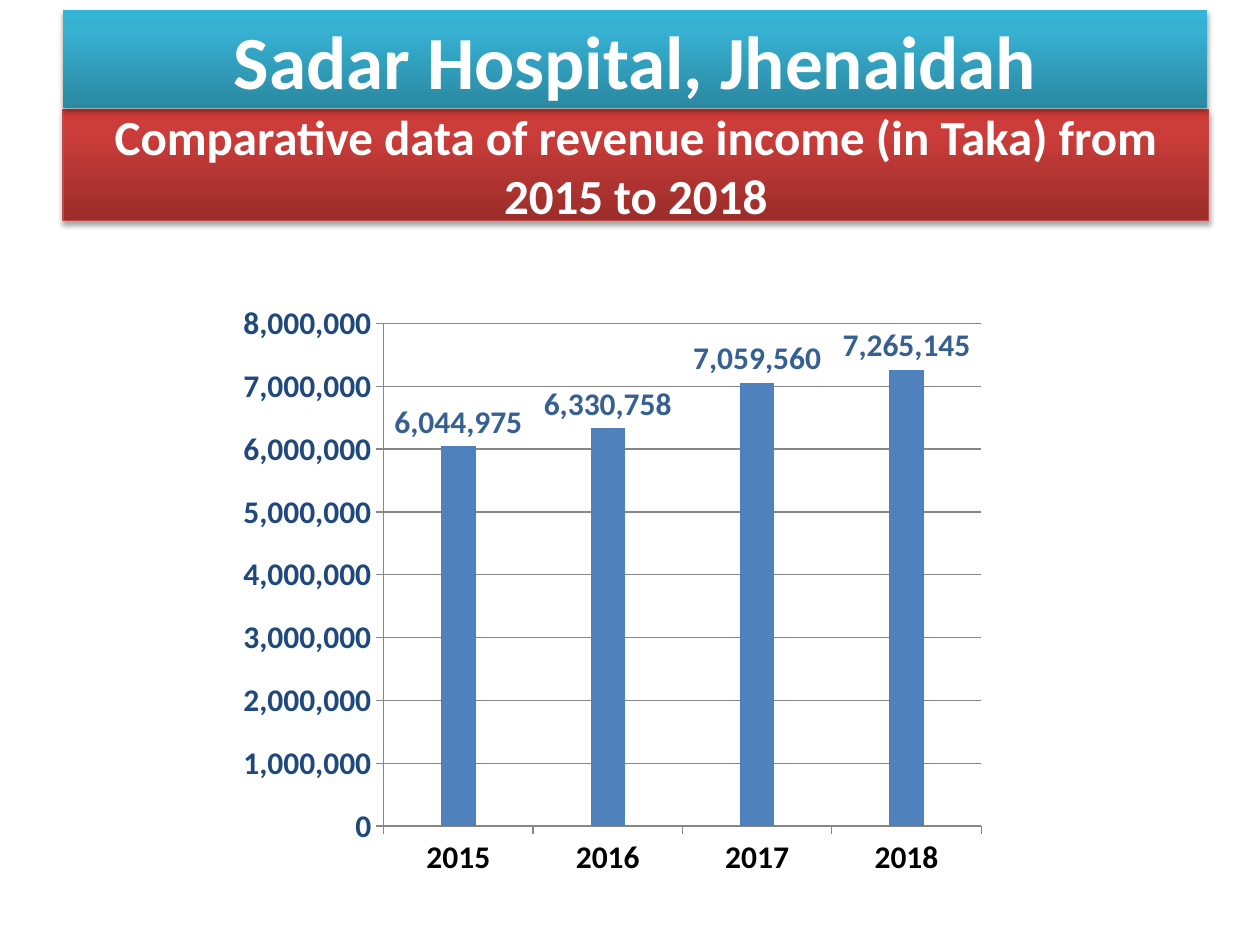
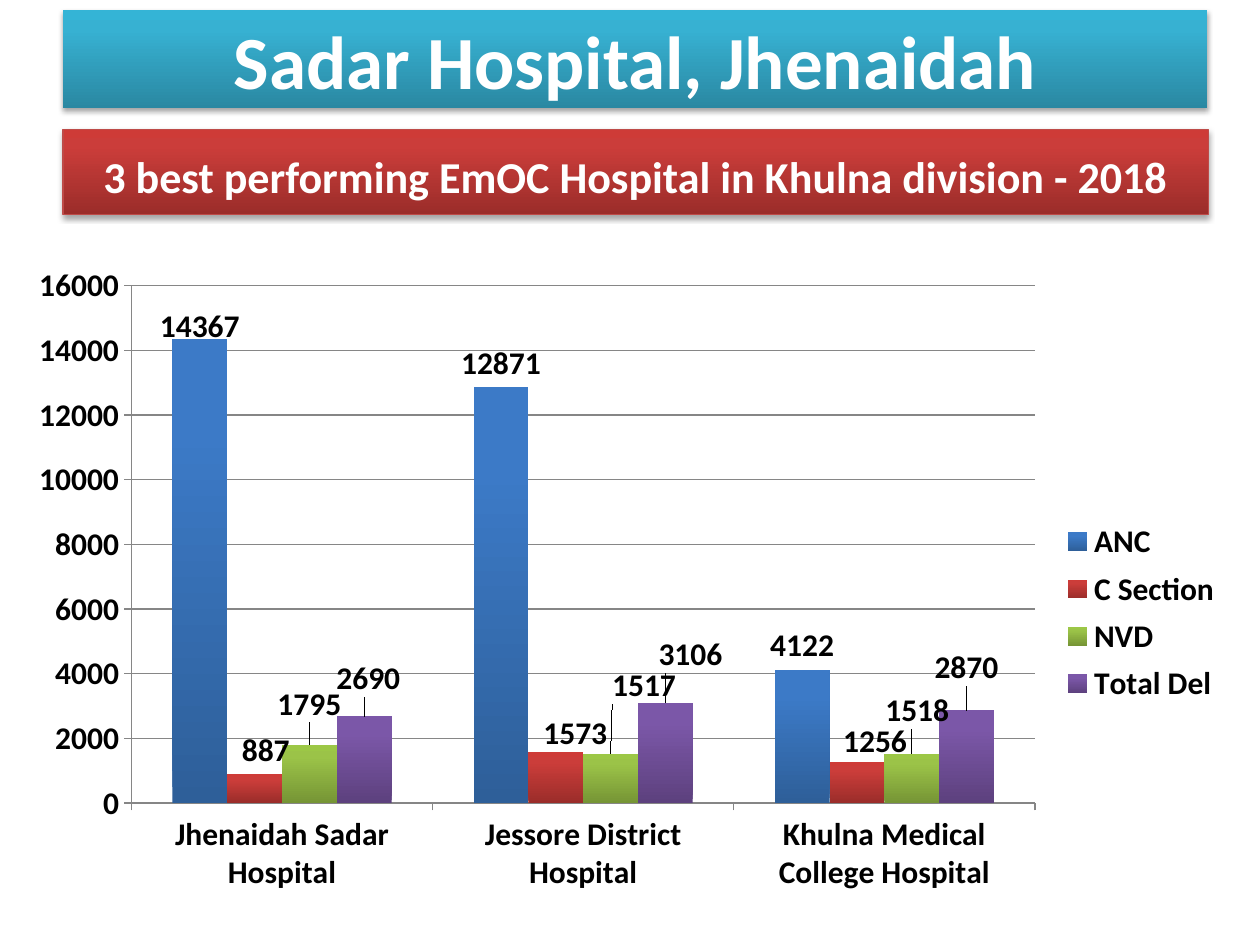
import pptx
import pptx.util
import pptx.oxml
import pptx.chart.data
import pptx.dml.color
import pptx.enum.chart
import pptx.enum.shapes
import pptx.enum.text
from lxml import etree
from pptx.oxml.ns import qn

Inches, Pt = pptx.util.Inches, pptx.util.Pt

FONT = "Calibri"
HOSPITAL = "Sadar Hospital, Jhenaidah"
WHITE, BLACK = "FFFFFF", "000000"
NAVY, LABEL_BLUE, BAR_BLUE = "1F497D", "376092", "4F81BD"
GRID_GREY, RED_EDGE = "868686", "BE4B48"

# Gradient colours from bottom to top, at 0, 80 and 100 percent
STOPS = (0, 80, 100)
AQUA = ("2A88A2", "37B1D2", "34B4D6")
BLUE = ("2E5F99", "3C7AC7", "397BC9")
RED = ("9B2D2A", "CB3D3A", "CE3B37")
GREEN = ("769535", "9BC348", "9CC746")
PURPLE = ("5D417E", "7B57A8", "7B58A6")


def rgb(color):
    return pptx.dml.color.RGBColor.from_string(color)


def set_font(font, size=18, color=BLACK, bold=True):
    font.name = FONT
    font.size = Pt(size)
    font.bold = bold
    font.color.rgb = rgb(color)


def write_text(shape, text, line_spacing=None, space_after=None, **font_format):
    """Put one centred paragraph in the shape."""
    frame = shape.text_frame
    frame.word_wrap = True
    frame.auto_size = pptx.enum.text.MSO_AUTO_SIZE.NONE
    frame.vertical_anchor = pptx.enum.text.MSO_ANCHOR.MIDDLE
    paragraph = frame.paragraphs[0]
    paragraph.alignment = pptx.enum.text.PP_ALIGN.CENTER
    paragraph.line_spacing = line_spacing
    paragraph.space_after = space_after
    run = paragraph.add_run()
    run.text = text
    set_font(run.font, **font_format)


def fill_gradient(fill, properties, colors):
    """Fill upward through the three colours; properties is the spPr element."""
    fill.gradient()
    fill.gradient_angle = 90
    stop_list = properties.find(qn("a:gradFill")).find(qn("a:gsLst"))
    for stop in list(stop_list):
        stop_list.remove(stop)
    for percent, color in zip(STOPS, colors):
        stop = etree.SubElement(stop_list, qn("a:gs"), pos=str(percent * 1000))
        etree.SubElement(stop, qn("a:srgbClr"), val=color)


def add_soft_shadow(shape):
    shape.shadow.inherit = False
    effects = shape._element.spPr.find(qn("a:effectLst"))
    shadow = etree.SubElement(effects, qn("a:outerShdw"), blurRad=str(Pt(3.1)),
                              dist=str(Pt(1.8)), dir="5400000", rotWithShape="0")
    color = etree.SubElement(shadow, qn("a:srgbClr"), val=BLACK)
    etree.SubElement(color, qn("a:alpha"), val="35000")


def style_band(band, colors):
    fill_gradient(band.fill, band._element.spPr, colors)
    add_soft_shadow(band)


def add_title_band(slide, text, top, height, **text_format):
    title = slide.shapes.title
    title.left, title.top = Inches(0.5), Inches(top)
    title.width, title.height = Inches(9.09), Inches(height)
    title.line.color.rgb = rgb(RED_EDGE)
    title.line.width = Pt(0.75)
    style_band(title, RED)
    write_text(title, text, color=WHITE, **text_format)


def add_hospital_band(slide):
    band = slide.shapes.add_shape(pptx.enum.shapes.MSO_SHAPE.RECTANGLE, Inches(0.5),
                                  Inches(0.08), Inches(9.08), Inches(0.78))
    band.line.fill.background()
    style_band(band, AQUA)
    write_text(band, HOSPITAL, size=42.9, color=WHITE)


def set_layout(parent, after, inner=False, **fractions):
    """Place a chart part by hand, behind the child tag named in after."""
    for old in parent.findall(qn("c:layout")):
        parent.remove(old)
    layout = parent.makeelement(qn("c:layout"))
    manual = etree.SubElement(layout, qn("c:manualLayout"))
    if inner:
        etree.SubElement(manual, qn("c:layoutTarget"), val="inner")
    if "w" in fractions:
        for mode in ("xMode", "yMode"):
            etree.SubElement(manual, qn("c:" + mode), val="edge")
    for name, value in fractions.items():
        etree.SubElement(manual, qn("c:" + name), val=f"{value:.3f}")
    if after:
        parent.find(qn(after)).addnext(layout)
    else:
        parent.insert(0, layout)


def style_axes(chart, maximum, step, number_format, value_color):
    values, categories = chart.value_axis, chart.category_axis
    values.minimum_scale, values.maximum_scale = 0, maximum
    values.major_unit = step
    values.has_major_gridlines = True
    values.tick_labels.number_format = number_format
    values.tick_labels.number_format_is_linked = False
    set_font(values.tick_labels.font, color=value_color)
    set_font(categories.tick_labels.font)
    for axis in (values, categories):
        axis.major_tick_mark = pptx.enum.chart.XL_TICK_MARK.OUTSIDE
    for line in (values.format.line, categories.format.line,
                 values.major_gridlines.format.line):
        line.color.rgb = rgb(GRID_GREY)
        line.width = Pt(0.75)


def add_column_chart(slide, box, categories, series, gap, plot, label_color=BLACK,
                     number_format="General", **axis_format):
    data = pptx.chart.data.CategoryChartData(number_format=number_format)
    data.categories = categories
    for name, values in series.items():
        data.add_series(name, values)
    chart = slide.shapes.add_chart(pptx.enum.chart.XL_CHART_TYPE.COLUMN_CLUSTERED,
                                   *map(Inches, box), data).chart
    chart.has_title = False
    chart.has_legend = False
    set_font(chart.font, bold=False)
    style_axes(chart, number_format=number_format, **axis_format)
    columns = chart.plots[0]
    columns.gap_width = gap
    columns.overlap = 0
    columns.vary_by_categories = False
    for bars in columns.series:
        bars.invert_if_negative = False
        labels = bars.data_labels
        labels.show_value = True
        labels.position = pptx.enum.chart.XL_LABEL_POSITION.OUTSIDE_END
        labels.number_format = number_format
        labels.number_format_is_linked = False
        set_font(labels.font, color=label_color)
    plot_area = chart._chartSpace.find(".//" + qn("c:plotArea"))
    set_layout(plot_area, None, inner=True, **dict(zip("xywh", plot)))
    return chart


def move_labels(series, shifts):
    """Shift labels by percent of chart width and height, keyed by point."""
    for index, (right, down) in shifts.items():
        label = series.points[index].data_label
        set_font(label.font)
        label.position = pptx.enum.chart.XL_LABEL_POSITION.OUTSIDE_END
        element = series.data_labels._element.xpath(
            f'c:dLbl[c:idx/@val="{index}"]')[0]
        set_layout(element, "c:idx", x=right / 100, y=down / 100)


def add_right_legend(chart, **fractions):
    chart.has_legend = True
    chart.legend.position = pptx.enum.chart.XL_LEGEND_POSITION.RIGHT
    chart.legend.include_in_layout = False
    set_font(chart.legend.font)
    set_layout(chart._chartSpace.find(".//" + qn("c:legend")), "c:legendPos",
               **fractions)


def add_revenue_slide(slide):
    add_title_band(slide, "Comparative data of revenue income (in Taka) from 2015 to 2018",
                   top=0.87, height=0.88, size=28)
    revenue = add_column_chart(
        slide, (1.83, 2.33, 6.08, 4.75), ["2015", "2016", "2017", "2018"],
        {"Series 1": (6044975, 6330758, 7059560, 7265145)},
        gap=335, plot=(0.2, 0.05, 0.78, 0.84), label_color=LABEL_BLUE,
        number_format="#,##0", maximum=8000000, step=1000000, value_color=NAVY)
    bars = revenue.plots[0].series[0].format.fill
    bars.solid()
    bars.fore_color.rgb = rgb(BAR_BLUE)
    add_hospital_band(slide)


def add_performance_slide(slide):
    add_title_band(slide, "3 best performing EmOC Hospital in Khulna division - 2018",
                   top=1.03, height=0.67, size=25.2, line_spacing=1.15,
                   space_after=Pt(10))
    services = {
        "ANC": (14367, 12871, 4122),
        "C Section": (887, 1573, 1256),
        "NVD": (1795, 1517, 1518),
        "Total Del": (2690, 3106, 2870),
    }
    label_shifts = (
        {0: (0, 1.7)},
        {0: (0.8, 0), 1: (1.4, 0.8), 2: (1.3, 0.5)},
        {0: (0, -2.6), 1: (2.4, -6.7), 2: (0.4, -3)},
        {0: (0.3, -2.1), 1: (1.8, -3.6), 2: (0, -2.9)},
    )
    performance = add_column_chart(
        slide, (-0.1, 2.08, 11.1, 5.25),
        ["Jhenaidah Sadar Hospital", "Jessore District Hospital",
         "Khulna Medical College Hospital"],
        services, gap=150, plot=(0.103, 0.036, 0.646, 0.782),
        maximum=16000, step=2000, value_color=BLACK)
    for bars, colors, shifts in zip(performance.plots[0].series,
                                    (BLUE, RED, GREEN, PURPLE), label_shifts):
        fill_gradient(bars.format.fill, bars._element.spPr, colors)
        move_labels(bars, shifts)
    add_right_legend(performance, x=0.76, y=0.38, w=0.13, h=0.3)
    add_hospital_band(slide)


def main():
    deck = pptx.Presentation()
    deck.slide_width, deck.slide_height = Inches(10), Inches(7.5)
    title_only = deck.slide_layouts[5]
    for fill_slide in (add_revenue_slide, add_performance_slide):
        fill_slide(deck.slides.add_slide(title_only))
    deck.save("out.pptx")


if __name__ == "__main__":
    main()
